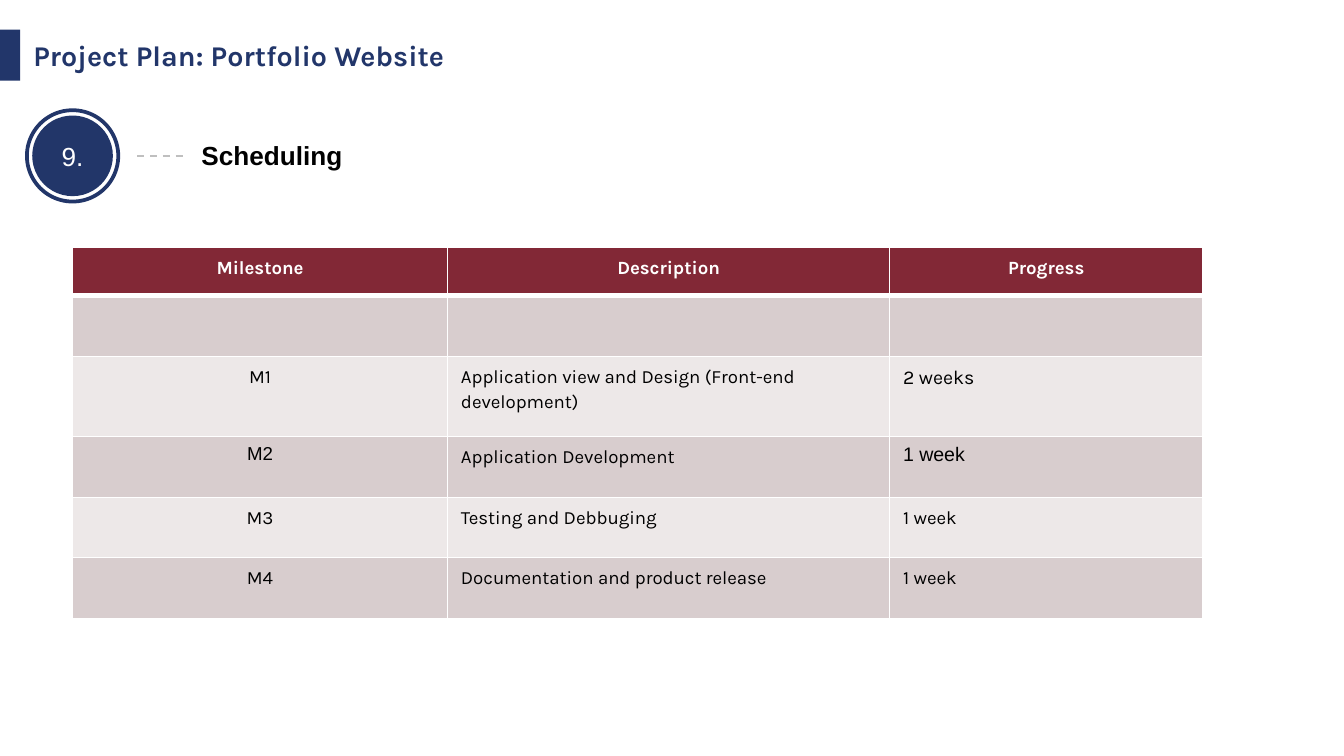
from lxml import etree
from pptx import Presentation
from pptx.dml.color import RGBColor
from pptx.enum.dml import MSO_LINE as Dash
from pptx.enum.shapes import MSO_CONNECTOR as Link, MSO_SHAPE as Kind
from pptx.enum.text import MSO_ANCHOR as Anchor, PP_ALIGN as Align
from pptx.oxml.ns import qn
from pptx.util import Inches, Pt

NAVY, WINE, WHITE, BLACK = "22366A", "822836", "FFFFFF", "000000"
BANDS = ["D8CDCE", "EDE8E8"]


def rgb(code):
    return RGBColor.from_string(code)


def write(frame, text, size, color, face="Karla", bold=False, align=Align.LEFT):
    """Fill the frame's first paragraph and return that paragraph."""
    frame.word_wrap = True
    para = frame.paragraphs[0]
    para.text = text
    para.alignment = align
    font = para.font
    font.name, font.size, font.bold = face, Pt(size), bold
    font.color.rgb = rgb(color)
    return para


deck = Presentation()
deck.slide_width, deck.slide_height = Inches(10), Inches(10 * 9 / 16)
slide = deck.slides.add_slide(deck.slide_layouts[6])
shapes = slide.shapes

# Title bar
bar = shapes.add_shape(Kind.RECTANGLE, 0, Inches(0.22), Inches(0.15), Inches(0.38))
bar.shadow.inherit = False
bar.fill.solid()
bar.fill.fore_color.rgb = rgb(NAVY)
bar.line.fill.background()
title = shapes.add_textbox(Inches(0.15), Inches(0.22), Inches(8.62), Inches(0.38))
title.text_frame.vertical_anchor = Anchor.MIDDLE
write(title.text_frame, "Project Plan: Portfolio Website", 15.3, NAVY, bold=True)

# Schedule table
cols = [2.79, 3.29, 2.33]
heights = [0.36, 0.45, 0.6, 0.45, 0.45, 0.45]
rows = [
    ("Milestone", "Description", "Progress"),
    ("", "", ""),
    ("M1", "Application view and Design (Front-end development)", "2 weeks"),
    ("M2", "Application Development", "1 week"),
    ("M3", "Testing and Debbuging", "1 week"),
    ("M4", "Documentation and product release", "1 week"),
]
table = shapes.add_table(len(rows), len(cols), Inches(0.54), Inches(1.84),
                         Inches(sum(cols)), Inches(sum(heights))).table
for col, width in zip(table.columns, cols):
    col.width = Inches(width)
for row, height in zip(table.rows, heights):
    row.height = Inches(height)

for r, texts in enumerate(rows):
    head = r == 0
    for c, text in enumerate(texts):
        cell = table.cell(r, c)
        arial = r == 3 and c != 1
        para = write(cell.text_frame, text,
                     10.5 if c == 2 and r in (2, 3, 4, 5) and r < 4 else 10,
                     WHITE if head else BLACK,
                     face="Arial" if arial else "Karla", bold=head,
                     align=Align.CENTER if head or c == 0 else Align.LEFT)
        if not arial:
            para.line_spacing = 1.15
        # Borders must precede the fill in the cell's XML
        props = cell._tc.get_or_add_tcPr()
        for side in ("lnL", "lnR", "lnT", "lnB"):
            thick = (r, side) in ((0, "lnB"), (1, "lnT"))
            edge = etree.SubElement(props, qn("a:" + side),
                                    w=str(Pt(3 if thick else 0.75)))
            paint = etree.SubElement(edge, qn("a:solidFill"))
            etree.SubElement(paint, qn("a:srgbClr"), val=WHITE)
        cell.fill.solid()
        cell.fill.fore_color.rgb = rgb(WINE if head else BANDS[(r - 1) % 2])

# Numbered badge: disc inside a ring
disc, ring = [shapes.add_shape(Kind.OVAL, Inches(x), Inches(y), Inches(d), Inches(d))
              for x, y, d in ((0.24, 0.86, 0.6), (0.2, 0.82, 0.68))]
for oval in (disc, ring):
    oval.shadow.inherit = False
disc.fill.solid()
disc.fill.fore_color.rgb = rgb("223669")
disc.line.fill.background()
disc.text_frame.vertical_anchor = Anchor.MIDDLE
write(disc.text_frame, "9.", 14, WHITE, face="Arial", align=Align.CENTER)
ring.fill.background()
ring.line.color.rgb = rgb("223669")
ring.line.width = Pt(2)

# Dashed lead to the heading
lead = shapes.add_connector(Link.STRAIGHT, Inches(1.02), Inches(1.16),
                            Inches(1.4), Inches(1.16))
lead.line.color.rgb = rgb("BFBFBF")
lead.line.width = Pt(1)
lead.line.dash_style = Dash.DASH
etree.SubElement(lead._element.spPr, qn("a:effectLst"))

topic = shapes.add_textbox(Inches(1.4), Inches(0.99), Inches(7.37), Inches(0.34))
write(topic.text_frame, "Scheduling", 14, BLACK, face="Arial", bold=True)

deck.save("out.pptx")
